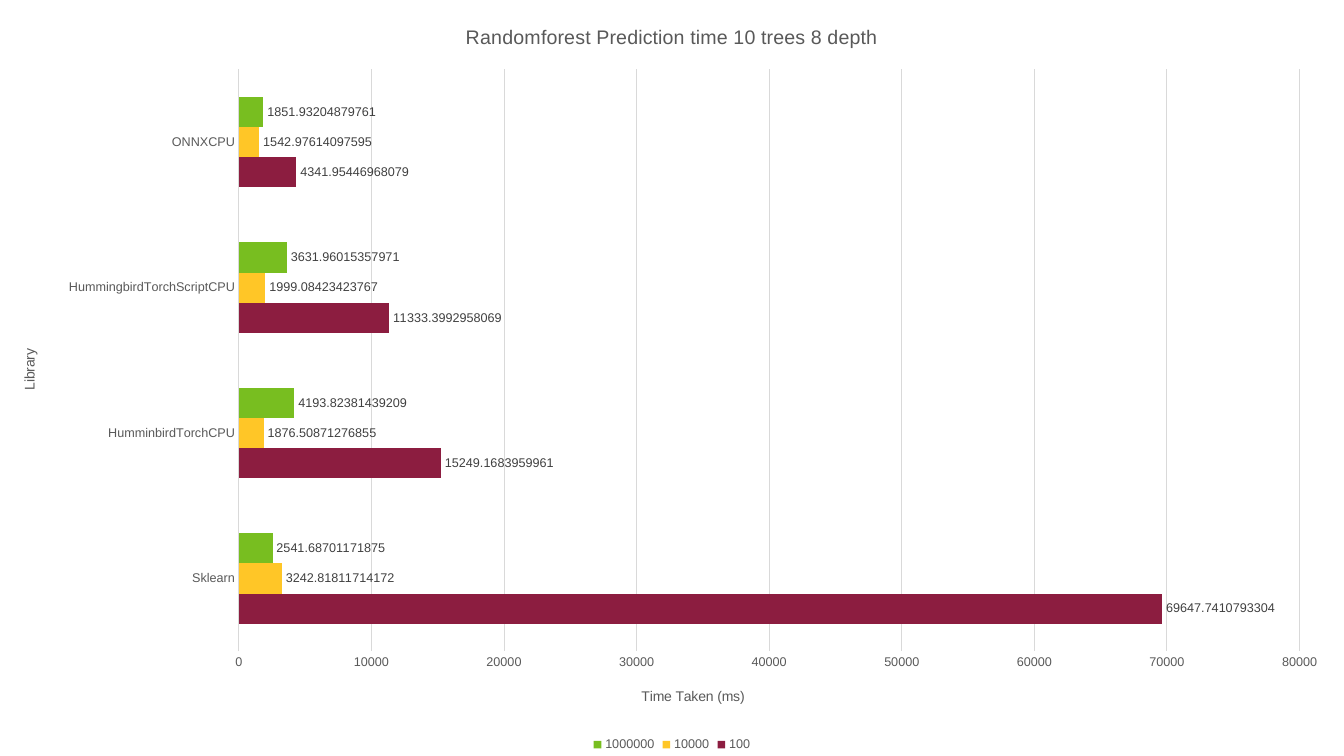
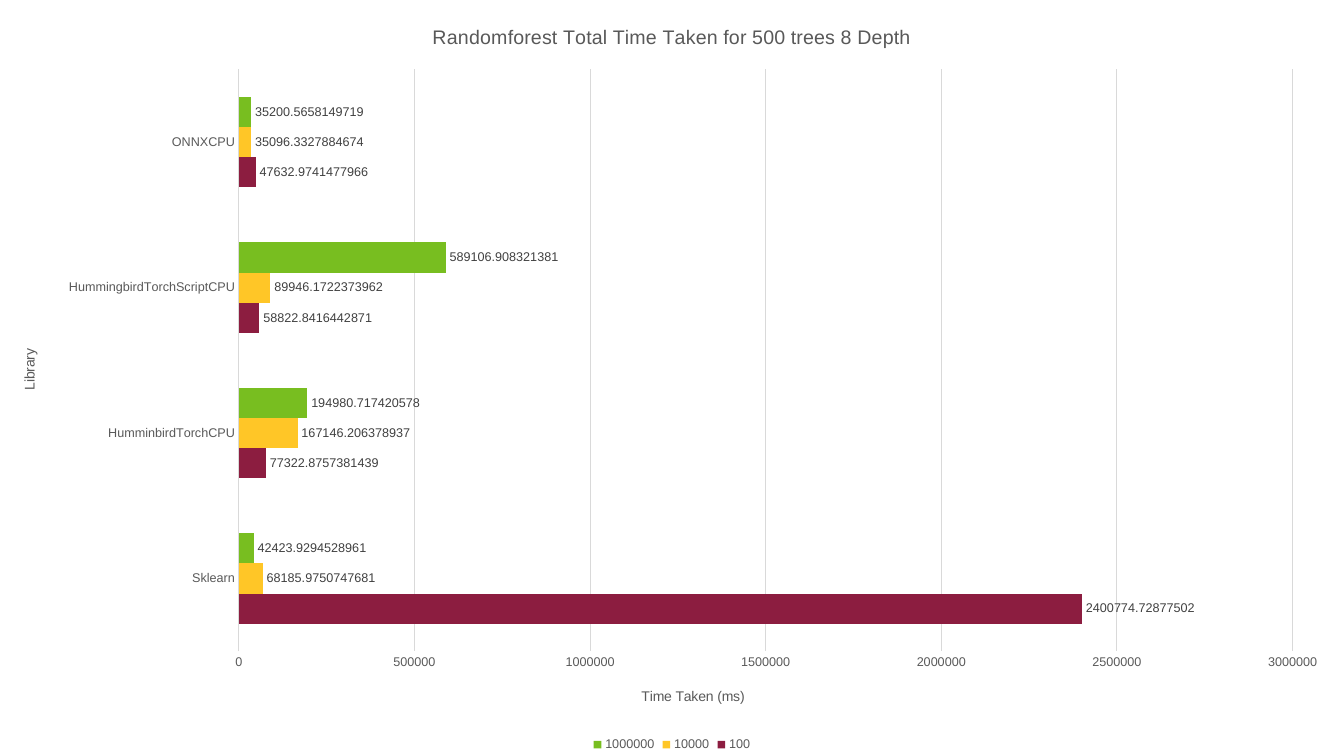
"""Build two slides of bar charts on random forest timings."""
from pptx import Presentation
from pptx.chart.data import CategoryChartData
from pptx.dml.color import RGBColor
from pptx.enum.chart import XL_CHART_TYPE, XL_LABEL_POSITION, XL_LEGEND_POSITION, XL_TICK_MARK
from pptx.util import Cm, Pt

HUES = {"text": "595959", "label": "404040", "grid": "D9D9D9", "back": "FFFFFF",
        "100": "8C1D40", "10000": "FFC627", "1000000": "78BE20"}
WIDE, HIGH = Cm(33.87), Cm(19.05)
LIBS = ["Sklearn", "HumminbirdTorchCPU", "HummingbirdTorchScriptCPU", "ONNXCPU"]
PAGES = [
    ("Randomforest Prediction time 10 trees 8 depth", 80000, 10000, {
        "100": (69647.7410793304, 15249.1683959961, 11333.3992958069, 4341.95446968079),
        "10000": (3242.81811714172, 1876.50871276855, 1999.08423423767, 1542.97614097595),
        "1000000": (2541.68701171875, 4193.82381439209, 3631.96015357971, 1851.93204879761)}),
    ("Randomforest Total Time Taken for 500 trees 8 Depth", 3000000, 500000, {
        "100": (2400774.72877502, 77322.8757381439, 58822.8416442871, 47632.9741477966),
        "10000": (68185.9750747681, 167146.206378937, 89946.1722373962, 35096.3327884674),
        "1000000": (42423.9294528961, 194980.717420578, 589106.908321381, 35200.5658149719)}),
]
FONTS = {
    "title": {"size": Pt(14), "bold": False, "name": "Arial"},
    "axis": {"size": Pt(10), "bold": False, "name": "Arial"},
    "small": {"size": Pt(9), "bold": False, "name": "Arial"},
}
AXIS = {"major_tick_mark": XL_TICK_MARK.NONE, "minor_tick_mark": XL_TICK_MARK.NONE}
SCALE = {"minimum_scale": 0, "has_major_gridlines": True}
LEGEND = {"position": XL_LEGEND_POSITION.BOTTOM, "include_in_layout": False}
PLOT = {"gap_width": 182, "overlap": 0, "vary_by_categories": False}
LABELS = {"show_value": True, "position": XL_LABEL_POSITION.OUTSIDE_END,
          "number_format": "General", "number_format_is_linked": False}


def apply(part, form):
    for key, value in form.items():
        setattr(part, key, value)


def paint(fill, hue):
    fill.solid()
    fill.fore_color.rgb = RGBColor.from_string(HUES[hue])


def style(font, kind, hue="text"):
    apply(font, FONTS[kind])
    paint(font.fill, hue)


def rule(line):
    line.width = Pt(0.75)
    paint(line.fill, "grid")


def head(owner, text, kind):
    line = owner.text_frame.paragraphs[0]
    run = line.add_run()
    run.text = text
    style(line.font, kind)
    style(run.font, kind)


def draw(slide, title, top, step, rows):
    paint(slide.background.fill, "back")
    data = CategoryChartData(number_format="General")
    data.categories = LIBS
    for name, vals in rows.items():
        data.add_series(name, vals)
    chart = slide.shapes.add_chart(
        XL_CHART_TYPE.BAR_CLUSTERED, 0, 0, WIDE, HIGH, data).chart
    style(chart.font, "small")
    head(chart.chart_title, title, "title")
    chart.chart_title.include_in_layout = False
    chart.has_legend = True
    apply(chart.legend, LEGEND)
    style(chart.legend.font, "small")

    cats, vals = chart.category_axis, chart.value_axis
    for axis, name in ((cats, "Library"), (vals, "Time Taken (ms)")):
        apply(axis, AXIS)
        style(axis.tick_labels.font, "small")
        head(axis.axis_title, name, "axis")
    apply(vals, {**SCALE, "maximum_scale": top, "major_unit": step})
    rule(cats.format.line)
    rule(vals.major_gridlines.format.line)
    vals.format.line.fill.background()

    plot = chart.plots[0]
    apply(plot, PLOT)
    for bar in plot.series:
        bar.invert_if_negative = False
        paint(bar.format.fill, bar.name)
        apply(bar.data_labels, LABELS)
        style(bar.data_labels.font, "small", "label")


def main():
    deck = Presentation()
    apply(deck, {"slide_width": WIDE, "slide_height": HIGH})
    for page in PAGES:
        draw(deck.slides.add_slide(deck.slide_layouts[6]), *page)
    deck.save("out.pptx")


if __name__ == "__main__":
    main()
